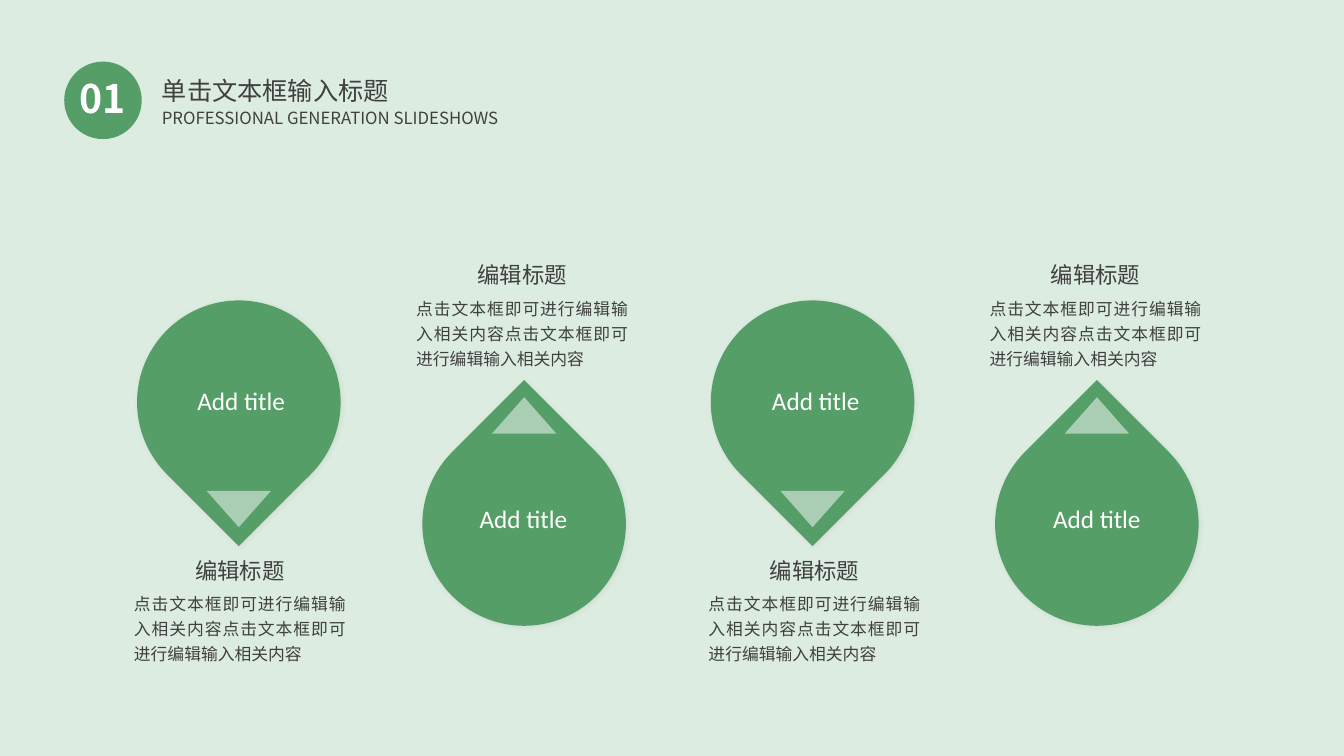
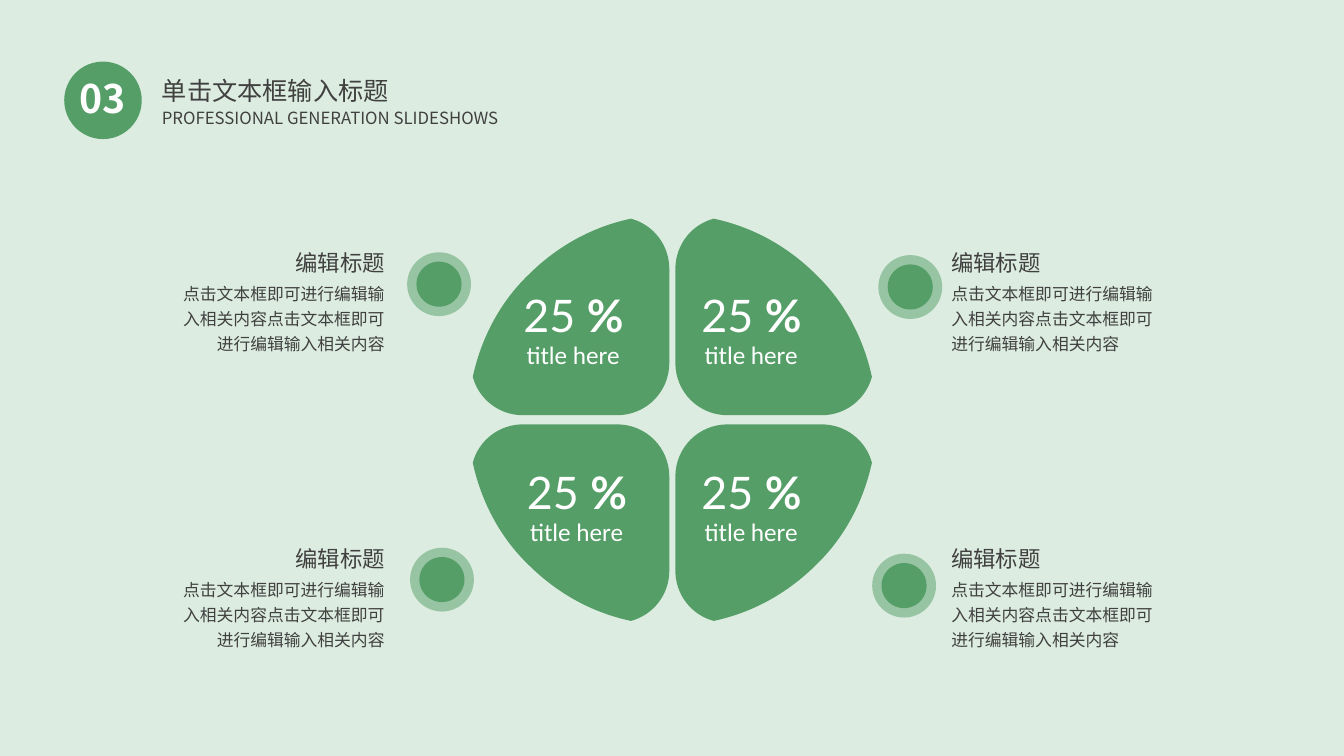
"""Build two green template slides: a row of pins and a four-petal diagram."""
import pptx
import pptx.dml.color
import pptx.enum.shapes
import pptx.enum.text
import pptx.oxml
import pptx.oxml.ns
import pptx.util
from lxml import etree

Pt = pptx.util.Pt
qn = pptx.oxml.ns.qn
SHAPE = pptx.enum.shapes.MSO_SHAPE
ALIGN = pptx.enum.text.PP_ALIGN
ANCHOR = pptx.enum.text.MSO_ANCHOR

COLORS = {"background": "DCECE0", "green": "559E67", "white": "FFFFFF", "ink": "404040", "shadow": "000000"}
CJK, LATIN, FIGURES = "Noto Sans CJK SC", "Calibri", "Lato"
HEADING = "编辑标题"
DETAIL = "点击文本框即可进行编辑输入相关内容" * 2

PIN_SIZE = 145.4
PIN_DOWN = {"turn": 135, "drop": 0, "arrow": 136, "arrow_turn": 0, "label": 56.8, "caption": 179.6}
PIN_UP = {"turn": 315, "drop": 118.4, "arrow": 100.5, "arrow_turn": 180, "label": 172.8, "caption": 0}
PINS = [(88.6, 214.6, 170.6, PIN_DOWN), (290.2, 183.2, 374.4, PIN_UP),
        (499, 214.6, 580.4, PIN_DOWN), (699.8, 183.2, 783.5, PIN_UP)]

PETAL_SIZE = 140.4
PETAL_START = (113, 0)
PETAL_SEGMENTS = [
    [(85.7, 5.8), (60.5, 19.4), (39.6, 40.3)],
    [(18.7, 60.5), (5.8, 86.4), (0, 113)],
    [(4.3, 128.9), (18.7, 140.4), (36, 140.4)],
    [(103, 140.4)],
    [(123.8, 140.4), (140.4, 123.8), (140.4, 103)],
    [(140.4, 36)],
    [(140.4, 18.7), (128.9, 4.3), (113, 0)],
]


def rgb(name):
    """Return the named colour."""
    return pptx.dml.color.RGBColor.from_string(COLORS[name])


def write_text(frame, text, size=12, font=CJK, color="ink", align=ALIGN.LEFT, spacing=1.0,
               bold=False, bold_tail="", anchor=ANCHOR.TOP, insets=(7.2, 3.6, 7.2, 3.6), wrap=True):
    """Write one formatted paragraph into a text frame."""
    frame.word_wrap = wrap
    frame.auto_size = pptx.enum.text.MSO_AUTO_SIZE.NONE
    frame.vertical_anchor = anchor
    frame.margin_left, frame.margin_top, frame.margin_right, frame.margin_bottom = map(Pt, insets)
    paragraph = frame.paragraphs[0]
    paragraph.alignment = align
    paragraph.line_spacing = spacing
    for words, heavy in ((text, bold), (bold_tail, True)):
        if words:
            run = paragraph.add_run()
            run.text = words
            run.font.size = Pt(size)
            run.font.bold = heavy
            run.font.color.rgb = rgb(color)
            run.font.name = font
            etree.SubElement(run.font._element, qn("a:ea"), typeface=font)


def add_text(slide, box, text, **style):
    """Add a text box at box, given as left, top, width and height."""
    write_text(slide.shapes.add_textbox(*map(Pt, box)).text_frame, text, **style)


def add_label(slide, box, text, **style):
    """Add an unfilled shape that carries white text."""
    label = slide.shapes.add_shape(SHAPE.RECTANGLE, *map(Pt, box))
    label.shadow.inherit = False
    label.fill.background()
    label.line.fill.background()
    write_text(label.text_frame, text, color="white", **style)


def paint(shape, color, alpha=None):
    """Give a shape a flat fill without line or shadow."""
    shape.shadow.inherit = False
    shape.line.fill.background()
    shape.fill.solid()
    shape.fill.fore_color.rgb = rgb(color)
    if alpha is not None:
        tint = shape._element.spPr.find(".//" + qn("a:srgbClr"))
        etree.SubElement(tint, qn("a:alpha"), val=str(alpha * 1000))


def add_figure(slide, kind, box, color, alpha=None, turn=0):
    """Add a painted preset shape and return it."""
    figure = slide.shapes.add_shape(kind, *map(Pt, box))
    figure.rotation = turn
    paint(figure, color, alpha)
    return figure


def cast_shadow(shape):
    """Add a faint shadow to the lower right."""
    effects = shape._element.spPr.find(qn("a:effectLst"))
    shadow = etree.SubElement(effects, qn("a:outerShdw"), blurRad=str(Pt(4)), dist=str(Pt(1)),
                              dir=str(45 * 60000), algn="tl", rotWithShape="0")
    tint = etree.SubElement(shadow, qn("a:srgbClr"), val=COLORS["shadow"])
    etree.SubElement(tint, qn("a:alpha"), val="5000")


def add_header(slide, box, number):
    """Place the numbered badge, title and subtitle in the header box."""
    left, top, width, height = box
    add_figure(slide, SHAPE.OVAL, (left, top + 5, 55.4, 55.4), "green")
    add_text(slide, (left + 1.5, top + 10.5, 51.8, 41), number, size=28, color="white", bold=True,
             align=ALIGN.CENTER)
    title = slide.shapes.title
    title.left, title.top, title.width, title.height = map(Pt, (left + 62.6, top + 0.4, 178, 40))
    write_text(title.text_frame, "单击文本框输入标题", size=18, spacing=1.5, wrap=False)
    add_text(slide, (left + 62.6, top + height - 22, 334, 22), "PROFESSIONAL GENERATION SLIDESHOWS")


def add_caption(slide, box, heading_align, detail_align, gap):
    """Place a heading with its detail text below it."""
    left, top, width, height = box
    add_text(slide, (left, top + gap, width, height - gap), DETAIL, align=detail_align, spacing=1.25)
    add_text(slide, (left, top, width, 26), HEADING, size=16, align=heading_align)


def add_pin(slide, box, center, plan):
    """Place a pin at its centre line, with label and caption in a column box."""
    left, top, width, height = box
    drop = add_figure(slide, SHAPE.TEAR, (center - PIN_SIZE / 2, top + plan["drop"], PIN_SIZE, PIN_SIZE),
                      "green", turn=plan["turn"])
    cast_shadow(drop)
    add_figure(slide, SHAPE.FLOWCHART_MERGE, (center - 23, top + plan["arrow"], 46, 26), "white",
               alpha=50, turn=plan["arrow_turn"])
    add_caption(slide, (left, top + plan["caption"], width, 84.5), ALIGN.CENTER, ALIGN.JUSTIFY, 22.8)
    add_text(slide, (left + width / 2 - 39.8, top + plan["label"], 81.4, 28), "Add title",
             size=18, font=LATIN, color="white", align=ALIGN.CENTER)


def add_petal_outline(slide, box, mirror_x, mirror_y):
    """Draw the curved petal outline, mirrored as asked."""
    left, top, width, height = box

    def place(point):
        """Return a petal point in slide units."""
        x, y = point
        return (Pt(left + (width - x if mirror_x else x)), Pt(top + (height - y if mirror_y else y)))

    builder = slide.shapes.build_freeform(*place(PETAL_START))
    builder.add_line_segments([place(segment[-1]) for segment in PETAL_SEGMENTS], close=True)
    petal = builder.convert_to_shape()
    edges = petal._element.spPr.findall(".//" + qn("a:lnTo"))
    for edge, segment in zip(edges, PETAL_SEGMENTS):
        if len(segment) == 3:
            curve = etree.Element(qn("a:cubicBezTo"))
            for x, y in map(place, segment):
                etree.SubElement(curve, qn("a:pt"), x=str(x - petal.left), y=str(y - petal.top))
            edge.getparent().replace(edge, curve)
    paint(petal, "green")


def add_petal(slide, box, right, low):
    """Place a petal with its percentage and label."""
    left, top, width, height = box
    add_petal_outline(slide, box, right, low)
    label_left = left + (18 if right else 38 if low else 35.5)
    label_top = top + (36.7 if low else 56.9)
    add_label(slide, (label_left, label_top + 31, 85, 18), "title here", size=18, font=LATIN,
              anchor=ANCHOR.MIDDLE, insets=(2.9, 2.9, 2.9, 2.9))
    add_label(slide, (label_left + 0.6, label_top + 0.6, 85, 30), "25 ", bold_tail="%", size=32,
              font=FIGURES, spacing=1.6, anchor=ANCHOR.BOTTOM, insets=(0, 0, 0, 0))


def add_ring(slide, center_x, center_y):
    """Place a dot with a pale rim around a centre."""
    for diameter, alpha in ((45.6, 51), (32.2, None)):
        box = (center_x - diameter / 2, center_y - diameter / 2, diameter, diameter)
        add_figure(slide, SHAPE.OVAL, box, "green", alpha)


def add_pins_slide(deck):
    """Add the slide with a row of alternating pins."""
    slide = start_slide(deck, "01")
    for left, top, center, plan in PINS:
        add_pin(slide, (left, top, 165.6, 264), center, plan)


def add_petals_slide(deck):
    """Add the slide with four petals and their captions."""
    slide = start_slide(deck, "03")
    ring_centers = [[(313.6, 203), (650.2, 205)], [(315.7, 414), (645.8, 418.3)]]
    for low in range(2):
        for right in range(2):
            petal_box = (337.7 + right * 144.7, 156.2 + low * 146.9, PETAL_SIZE, PETAL_SIZE)
            add_petal(slide, petal_box, right, low)
            add_ring(slide, *ring_centers[low][right])
            left, width = (672.5, 161.3) if right else (117, 164.9)
            align = ALIGN.LEFT if right else ALIGN.RIGHT
            add_caption(slide, (left, 174.2 + low * 211.5, width, 83), align, align, 21.2)


def start_slide(deck, number):
    """Add a slide carrying the shared header."""
    slide = deck.slides.add_slide(deck.slide_layouts[5])
    add_header(slide, (45.9, 39, 397, 56.4), number)
    return slide


def main():
    """Build and save the deck."""
    deck = pptx.Presentation()
    deck.slide_width, deck.slide_height = Pt(960), Pt(540)
    backdrop = deck.slide_master.background.fill
    backdrop.solid()
    backdrop.fore_color.rgb = rgb("background")
    add_pins_slide(deck)
    add_petals_slide(deck)
    deck.save("out.pptx")


if __name__ == "__main__":
    main()
